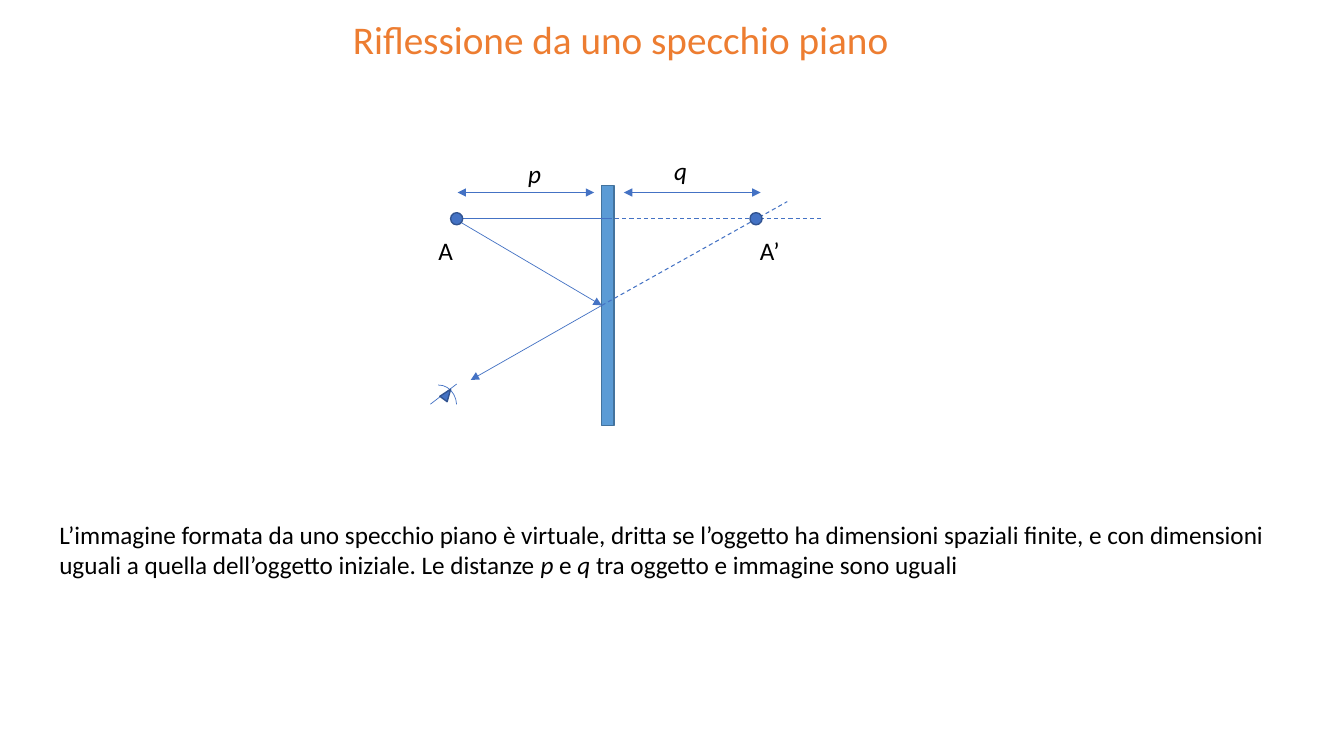
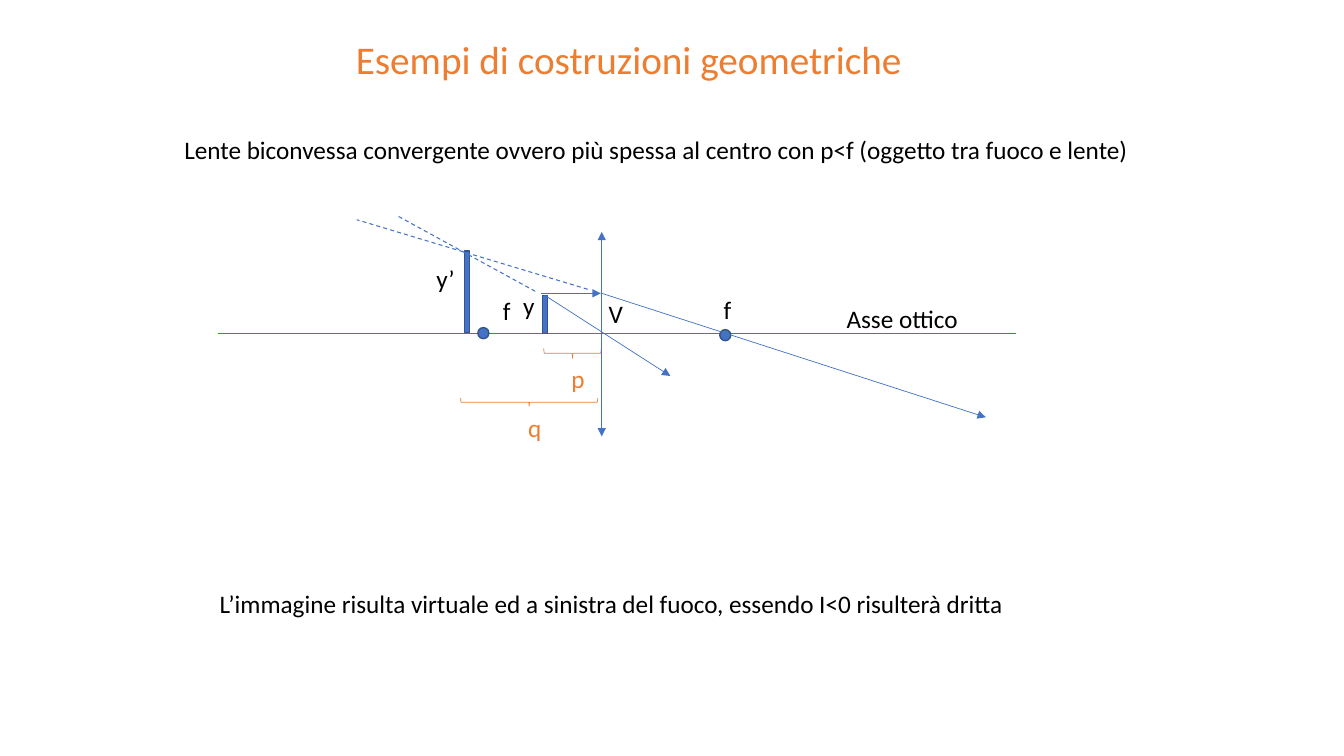
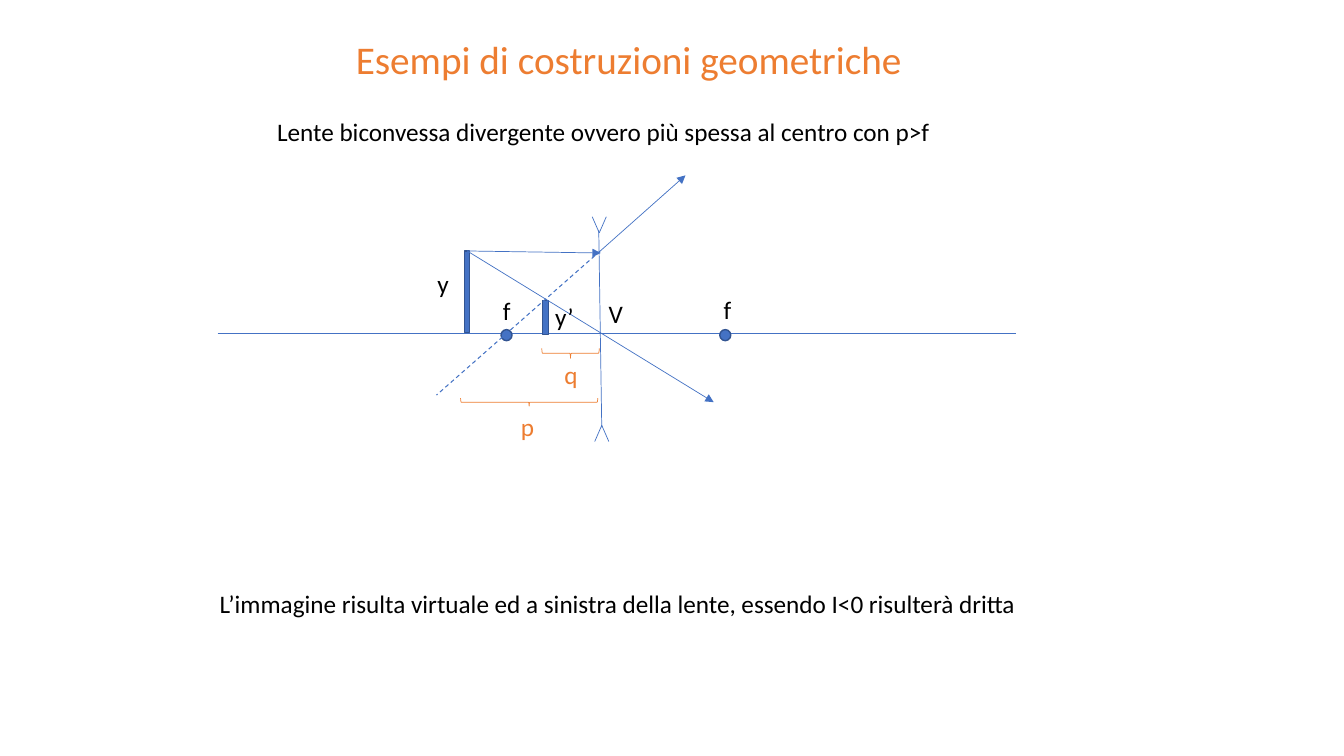
from dataclasses import dataclass
from lxml.etree import SubElement as Sub
from pptx import Presentation
from pptx.dml.color import RGBColor as RGB
from pptx.enum.dml import MSO_LINE as Dash
from pptx.enum.shapes import MSO_CONNECTOR as Conn, MSO_SHAPE as Kind
from pptx.enum.text import MSO_ANCHOR as Anchor, MSO_AUTO_SIZE as Auto, PP_ALIGN as Align
from pptx.oxml.ns import qn
from pptx.util import Inches, Pt

# Grid: square cells of a tenth of an inch
COLS, ROWS = 133.33, 75
CELL = Inches(0.1)


@dataclass(frozen=True)
class Theme:
    font: str = "Calibri"
    head: Pt = Pt(28)
    body: Pt = Pt(18)
    thin: Pt = Pt(0.5)
    mid: Pt = Pt(0.75)
    edge: Pt = Pt(1)
    black: RGB = RGB(0x00, 0x00, 0x00)
    orange: RGB = RGB(0xED, 0x7D, 0x31)
    blue: RGB = RGB(0x44, 0x72, 0xC4)
    navy: RGB = RGB(0x32, 0x54, 0x91)
    glass: RGB = RGB(0x5B, 0x9B, 0xD5)
    steel: RGB = RGB(0x43, 0x73, 0x9E)


T = Theme()


def grid(*cells):
    return [round(cell * CELL) for cell in cells]


def apply(item, **vals):
    for key, val in vals.items():
        setattr(item, key, val)


# Text: parts between asterisks are italic
def write(frame, text, size, color, wrap):
    apply(frame, word_wrap=wrap, auto_size=Auto.NONE, vertical_anchor=Anchor.TOP,
          margin_left=CELL, margin_right=CELL,
          margin_top=CELL // 2, margin_bottom=CELL // 2)
    para = frame.paragraphs[0]
    para.alignment = Align.LEFT
    for num, part in enumerate(text.split("*")):
        if part:
            run = para.add_run()
            run.text = part
            apply(run.font, name=T.font, size=size, italic=num % 2 == 1)
            run.font.color.rgb = color


def label(slide, text, x, y, wide, color=T.black, high=4, wrap=False):
    box = slide.shapes.add_textbox(*grid(x, y, wide, high))
    write(box.text_frame, text, T.body, color, wrap)


def page(deck, text, x, y, wide):
    slide = deck.slides.add_slide(deck.slide_layouts[5])
    title = slide.shapes.title
    left, top, width, height = grid(x, y, wide, 5.7)
    apply(title, left=left, top=top, width=width, height=height)
    write(title.text_frame, text, T.head, T.orange, False)
    return slide


# Shapes
def shape(slide, kind, x, y, wide, high, fill=T.blue, edge=T.navy,
          weight=T.edge, turn=0):
    item = slide.shapes.add_shape(kind, *grid(x, y, wide, high))
    item.shadow.inherit = False
    item.rotation = turn
    if fill is None:
        item.fill.background()
    else:
        item.fill.solid()
        item.fill.fore_color.rgb = fill
    item.line.color.rgb = edge
    item.line.width = weight
    return item


def bar(slide, x, y, wide, high, **look):
    return shape(slide, Kind.RECTANGLE, x, y, wide, high, **look)


def dot(slide, x, y, size=1.1):
    shape(slide, Kind.OVAL, x - size / 2, y - size / 2, size, size)


def brace(slide, x, y, span, depth):
    shape(slide, Kind.LEFT_BRACE, x - depth / 2, y - span / 2, depth, span,
          fill=None, edge=T.orange, weight=T.thin, turn=270)


# Rays: ends lists the arrowheads, start and stop are (shape, side)
def ray(slide, a, b, ends=(), dash=False, start=None, stop=None):
    line = slide.shapes.add_connector(Conn.STRAIGHT, *grid(*a, *b))
    if start:
        line.begin_connect(*start)
    if stop:
        line.end_connect(*stop)
    line.line.color.rgb = T.blue
    line.line.width = T.mid if dash else T.thin
    if dash:
        line.line.dash_style = Dash.DASH
    props = line.element.spPr
    for end in ends:
        Sub(props.find(qn("a:ln")), qn(f"a:{end}End"), type="triangle")
    Sub(props, qn("a:effectLst"))


TIP = ("tail",)
BOTH = ("head", "tail")


# Plane mirror
def mirror(deck):
    slide = page(deck, "Riflessione da uno specchio piano", 34, 1, 55.8)
    label(slide, "L’immagine formata da uno specchio piano è virtuale, dritta se "
          "l’oggetto ha dimensioni spaziali finite, e con dimensioni uguali a "
          "quella dell’oggetto iniziale. Le distanze *p* e *q* tra oggetto e "
          "immagine sono uguali", 4.9, 51, 125.3, high=7.1, wrap=True)
    glass = bar(slide, 59.7, 18.4, 1.2, 23.8, fill=T.glass, edge=T.steel)
    face = (glass, 1)
    spot, hit, mid = (45.1, 21.7), (59.7, 30.3), (60.3, 21.7)
    ray(slide, spot, hit, TIP, stop=face)
    ray(slide, hit, (46.7, 37.7), TIP, start=face)
    ray(slide, hit, (78.1, 20), dash=True, start=face)
    ray(slide, spot, mid)
    ray(slide, mid, (81.7, 21.7), dash=True)
    for text, x, y, wide in (("A", 42.5, 22.9, 3.5), ("A’", 74.4, 22.9, 4),
                             ("*p*", 51.4, 15.2, 3.4), ("*q*", 65.9, 14.9, 3.4)):
        label(slide, text, x, y, wide)
    for x in (45.3, 75):
        dot(slide, x, 21.7, 1.2)
    for x in (45.4, 61.9):
        ray(slide, (x, 19.1), (x + 13.55, 19.1), BOTH)
    # Eye
    shape(slide, Kind.ARC, 41.8, 38.2, 3.5, 4, fill=None, edge=T.blue,
          weight=T.thin, turn=357.6)
    ray(slide, (42.7, 40.1), (45.3, 38.1))
    shape(slide, Kind.ISOSCELES_TRIANGLE, 43.9, 38.5, 0.9, 1.2, turn=36.4)


# Parts common to both lenses
AXIS = 33.1


def lens(deck, lead, x, y, wide, note, span, focus, near):
    slide = page(deck, "Esempi di costruzioni geometriche", 34.3, 3, 56.7)
    label(slide, lead, x, y, wide)
    label(slide, note, 20.8, 57.9, span)
    ray(slide, (21.6, AXIS), (100.8, AXIS))
    tall = bar(slide, 46.1, 24.9, 0.5, 8.1)
    for text, left, top, size in (("f", 70.8, 28.7, 2.8), ("f", 48.9, 28.8, 2.8),
                                  ("V", 59.4, 29.1, 3.5)):
        label(slide, text, left, top, size)
    brace(slide, 52.5, 39.9, 13.6, 0.8)
    brace(slide, near, 35.05, 5.7, 1)
    for spot in (focus, (71.95, 33.25)):
        dot(slide, *spot)
    return slide, tall


def convex(deck):
    slide, _ = lens(
        deck, "Lente biconvessa convergente ovvero più spessa al centro con p<f "
        "(oggetto tra fuoco e lente)", 17.3, 12.8, 96.3,
        "L’immagine risulta virtuale ed a sinistra del fuoco, essendo I<0 "
        "risulterà dritta", 80.7, (47.95, 33.05), 56.8)
    thing = bar(slide, 53.8, 29.3, 0.5, 3.8)
    ray(slide, (59.7, 23), (59.7, 43.3), BOTH)
    ray(slide, (59.7, 29.1), (97.8, 41.4), TIP)
    ray(slide, (54.1, 29.3), (66.5, 37.3), TIP, start=(thing, 0))
    ray(slide, (53.7, 29.1), (59.6, 29.1), TIP)
    ray(slide, (58.3, 28.7), (35.4, 21.8), dash=True)
    ray(slide, (53.1, 28.9), (39.4, 21.4), dash=True)
    for text, x, y, wide, color in (("y", 50.9, 28.3, 3.1, T.black),
                                    ("y’", 42.3, 25.6, 3.9, T.black),
                                    ("p", 55.7, 35.6, 3.4, T.orange),
                                    ("q", 51.4, 40.4, 3.4, T.orange),
                                    ("Asse ottico", 83, 29.6, 13.2, T.black)):
        label(slide, text, x, y, wide, color)


def concave(deck):
    slide, tall = lens(
        deck, "Lente biconvessa divergente ovvero più spessa al centro con p>f",
        26.5, 11.1, 70.2,
        "L’immagine risulta virtuale ed a sinistra della lente, essendo I<0 "
        "risulterà dritta", 81.9, (50.25, 33.25), 56.6)
    bar(slide, 53.8, 29.8, 0.6, 3.4)
    # Lens axis with a fork at each end
    ray(slide, (59.4, 22.8), (59.7, 42.4))
    for x, y, rise in ((59.45, 23.1, -1.6), (59.7, 42.2, 1.6)):
        for side in (-0.7, 0.7):
            ray(slide, (x, y), (x + side, y + rise))
    peak, hit = (46.35, 24.9), (59.55, 24.9)
    ray(slide, peak, (59.6, 25.1), TIP, start=(tall, 0))
    ray(slide, peak, (70.8, 39.9), TIP, start=(tall, 0))
    ray(slide, hit, (68, 17.4), TIP)
    ray(slide, hit, (43.3, 39.2), dash=True)
    for text, x, y, wide, color in (("y", 42.4, 26.1, 3.1, T.black),
                                    ("y’", 54.1, 29.4, 3.9, T.black),
                                    ("p", 50.7, 40.3, 3.4, T.orange),
                                    ("q", 55, 35.2, 3.4, T.orange)):
        label(slide, text, x, y, wide, color)


def main():
    deck = Presentation()
    deck.slide_width, deck.slide_height = grid(COLS, ROWS)
    for build in (mirror, convex, concave):
        build(deck)
    deck.save("out.pptx")


if __name__ == "__main__":
    main()
